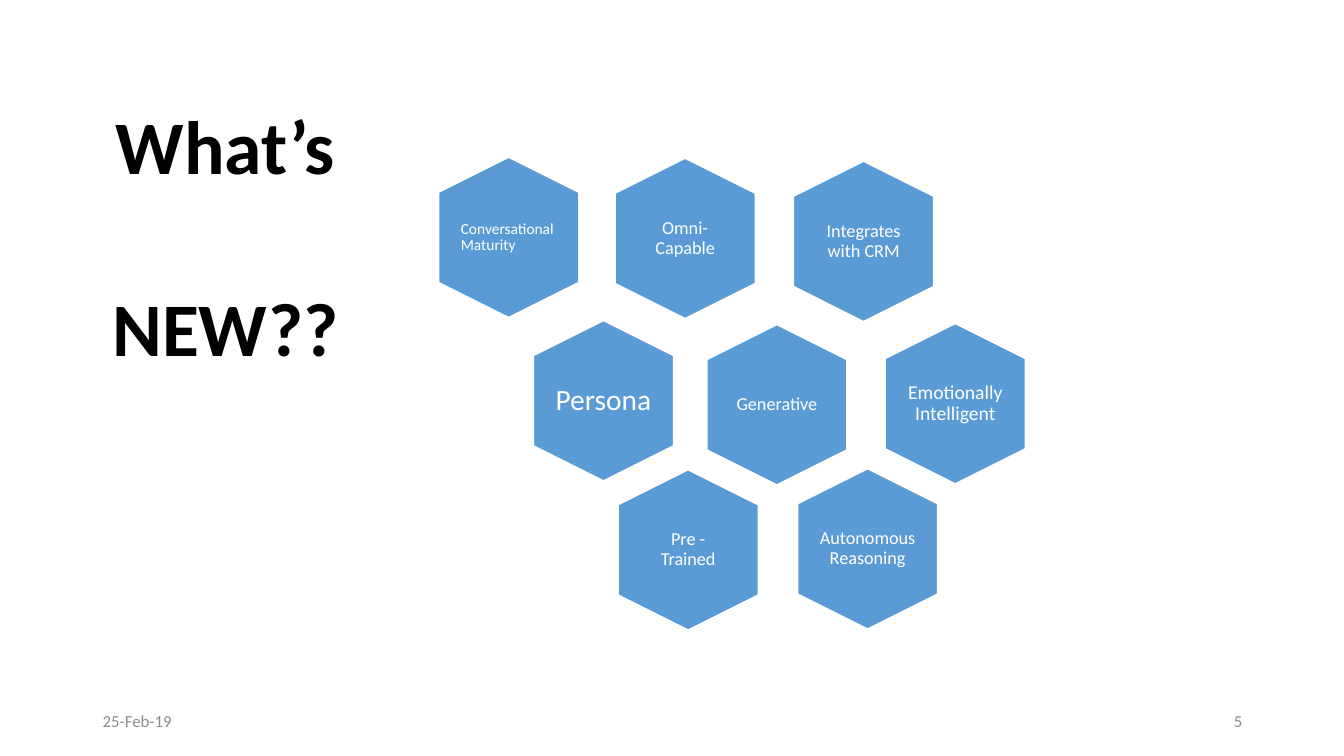
"""Build the "What's NEW??" slide with its honeycomb of features."""
from typing import Any, NamedTuple

from pptx import Presentation
from pptx import util as u
from pptx.dml.color import RGBColor
from pptx.enum import shapes, text

HEX_W, HEX_H = 1.59, 1.39
LABEL_W, LABEL_H = 0.95, 1.1
FONT, BLUE, WHITE, BLACK, GREY = "Calibri", "5B9BD5", "FFFFFF", "000000", "8C8C8C"
LEFT, CENTER, RIGHT = text.PP_ALIGN.LEFT, text.PP_ALIGN.CENTER, text.PP_ALIGN.RIGHT


class Feature(NamedTuple):
    """A honeycomb cell: label, position, font size, label inset and alignment."""
    label: str
    left: float
    top: float
    size: int = 13
    inset: float = 0.05
    align: Any = CENTER


FEATURES = [
    Feature("Omni-Capable", 6, 1.67),
    Feature("Conversational Maturity", 4.25, 1.66, 11, 0, LEFT),
    Feature("Integrates with CRM", 7.77, 1.7),
    Feature("Emotionally Intelligent", 8.68, 3.31, 14, 0),
    Feature("Generative", 6.91, 3.32),
    Feature("Persona", 5.19, 3.28, 21, 0),
    Feature("Pre - Trained", 6.03, 4.76),
    Feature("Autonomous Reasoning", 7.81, 4.75, 13, 0),
]


def rgb(color: str) -> RGBColor:
    """Turn a hex string into a colour."""
    return RGBColor.from_string(color)


def add_text(parent: Any, content: str, left: float, top: float, width: float,
             height: float, *, size: int, color: str, bold: bool = False,
             align: Any = LEFT, anchor: Any = text.MSO_ANCHOR.MIDDLE,
             inset: float | None = None, wrap: bool = True, grow: bool = False,
             line: float | None = None, gap: float = 0) -> None:
    """Add a text box with one paragraph per line of content."""
    s = parent.add_textbox(*map(u.Inches, (left, top, width, height)))
    tf = s.text_frame
    tf.word_wrap, tf.vertical_anchor = wrap, anchor
    if grow:
        tf.auto_size = text.MSO_AUTO_SIZE.SHAPE_TO_FIT_TEXT
    if inset is not None:
        tf.margin_left = tf.margin_right = u.Inches(inset)
        tf.margin_top = tf.margin_bottom = u.Inches(inset)
    for i, words in enumerate(content.split("\n")):
        p = tf.add_paragraph() if i else tf.paragraphs[0]
        p.alignment = align
        if line:
            p.line_spacing = line
        if i and gap:
            p.space_before = u.Pt(gap)
        r = p.add_run()
        r.text = words
        r.font.name, r.font.size, r.font.bold = FONT, u.Pt(size), bold
        r.font.color.rgb = rgb(color)


def add_feature(parent: Any, f: Feature) -> None:
    """Add an upright hexagon with its label centred on it."""
    s = parent.add_shape(shapes.MSO_SHAPE.HEXAGON,
                         *map(u.Inches, (f.left, f.top, HEX_W, HEX_H)))
    s.rotation = 90
    s.adjustments[0] = 0.25
    s.shadow.inherit = False
    s.fill.solid()
    s.fill.fore_color.rgb = rgb(BLUE)
    s.line.color.rgb = rgb(WHITE)
    s.line.width = u.Pt(1)
    add_text(parent, f.label, f.left + (HEX_W - LABEL_W) / 2,
             f.top + (HEX_H - LABEL_H) / 2, LABEL_W, LABEL_H, size=f.size,
             color=WHITE, align=f.align, inset=f.inset, line=0.9)


def main() -> None:
    """Build and save the slide."""
    prs = Presentation()
    prs.slide_width, prs.slide_height = u.Inches(13.33), u.Inches(7.5)
    slide = prs.slides.add_slide(prs.slide_layouts[6])
    for f in FEATURES:
        add_feature(slide.shapes, f)
    add_text(slide.shapes, "What’s\nNEW??", 0.93, 0.93, 2.61, 1.92, size=54,
             color=BLACK, bold=True, align=CENTER, anchor=text.MSO_ANCHOR.TOP,
             wrap=False, grow=True, gap=65.5)
    add_text(slide.shapes, "25-Feb-19", 0.92, 6.95, 3, 0.4, size=12, color=GREY)
    add_text(slide.shapes, "5", 9.42, 6.95, 3, 0.4, size=12, color=GREY, align=RIGHT)
    prs.save("out.pptx")


if __name__ == "__main__":
    main()
